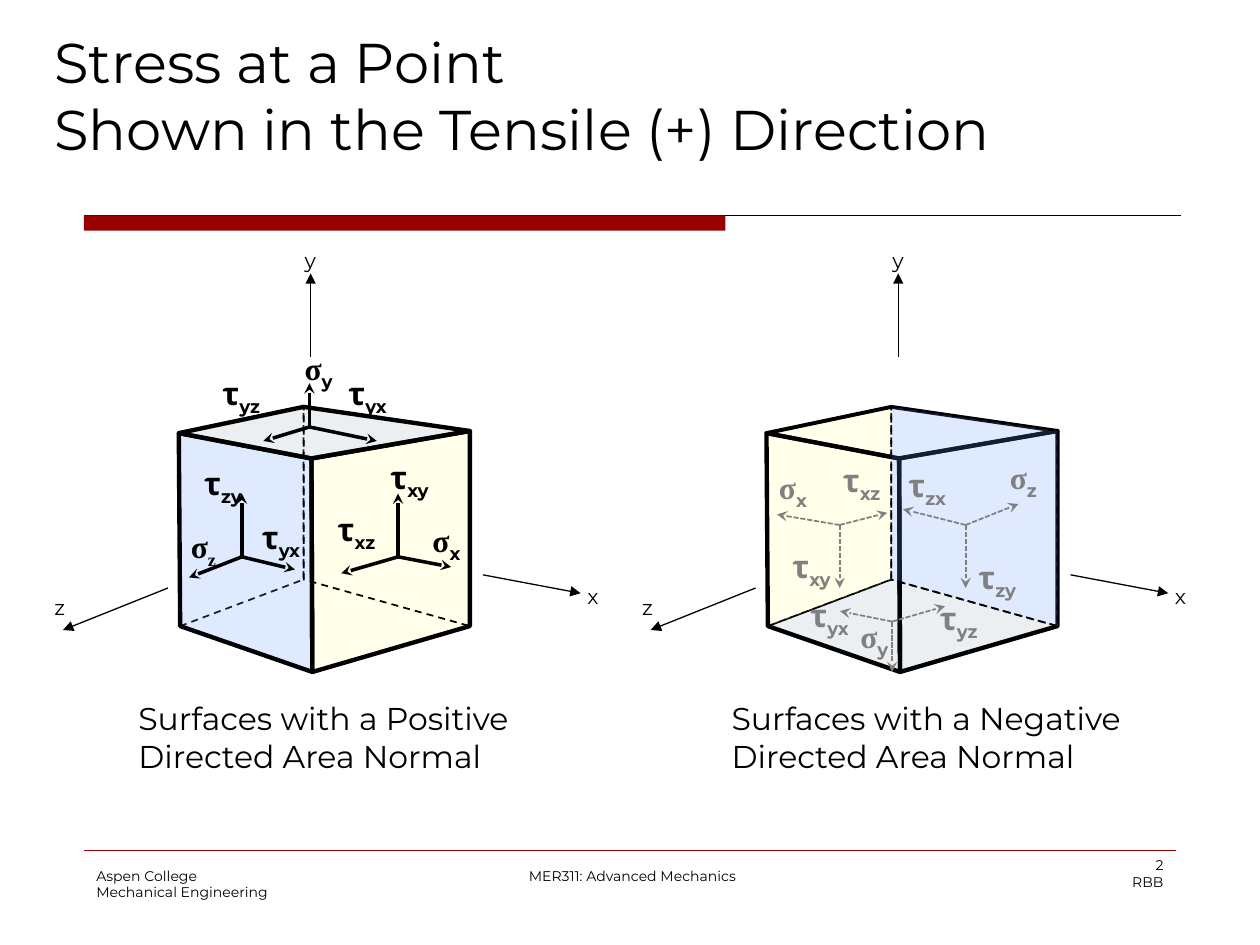
import pptx
import pptx.util
import pptx.dml.color
import pptx.enum.dml
import pptx.enum.shapes
import pptx.enum.text
import pptx.oxml
import pptx.oxml.ns
import lxml.etree

Pt = pptx.util.Pt
color = pptx.dml.color.RGBColor.from_string
qn = pptx.oxml.ns.qn
Dash = pptx.enum.dml.MSO_LINE
Align = pptx.enum.text.PP_ALIGN

theme = {
    "font": "Montserrat", "greek": "Times New Roman",
    "title": 32, "body": 18, "axis": 12, "footer": 8,
    "ink": "000000", "hidden": "808080", "accent": "990000",
    "x_face": "FFFF99", "y_face": "A3B2C1", "z_face": "6699FF",
}

presentation = pptx.Presentation()
presentation.slide_width = Pt(720)
presentation.slide_height = Pt(540)
slide = presentation.slides.add_slide(presentation.slide_layouts[6])


def add_text(text, left, top, width, height, size, align=Align.LEFT):
    box = slide.shapes.add_textbox(Pt(left), Pt(top), Pt(width), Pt(height))
    box.text_frame.word_wrap = True
    box.text_frame.text = text
    for paragraph in box.text_frame.paragraphs:
        paragraph.alignment = align
        for run in paragraph.runs:
            run.font.size = Pt(size)
            run.font.name = theme["font"]
            run.font.color.rgb = color(theme["ink"])
    return box.text_frame


def add_line(start, end, ink, weight, head=None, dash=None):
    line = slide.shapes.add_connector(
        pptx.enum.shapes.MSO_CONNECTOR.STRAIGHT, *(Pt(v) for v in (*start, *end)))
    line.line.color.rgb = color(ink)
    line.line.width = Pt(weight)
    if dash:
        line.line.dash_style = dash
    if head:
        lxml.etree.SubElement(line.line._get_or_add_ln(), qn("a:tailEnd"), type=head)
    lxml.etree.SubElement(line._element.spPr, qn("a:effectLst"))


add_line((48, 123.1), (674.6, 123.1), theme["ink"], 0.75)
bar = slide.shapes.add_shape(
    pptx.enum.shapes.MSO_SHAPE.RECTANGLE, Pt(48), Pt(123.1), Pt(366.5), Pt(8.7))
bar.shadow.inherit = False
bar.fill.solid()
bar.fill.fore_color.rgb = color(theme["accent"])
bar.line.fill.background()
add_line((48, 486), (672, 486), theme["accent"], 0.25)

add_text("Stress at a Point\vShown in the Tensile (+) Direction",
         24, 12, 678, 96, theme["title"])
for text, left, top, width, height, align in [
    ("Aspen College\nMechanical Engineering", 48, 492, 150, 36, Align.LEFT),
    ("MER311: Advanced Mechanics", 274.3, 492, 174.3, 17, Align.CENTER),
    ("2\nRBB", 522, 486, 150, 36, Align.RIGHT),
]:
    add_text(text, left, top, width, height, theme["footer"], align)

corners = {
    "left_top": (102.2, 247.5), "front_top": (178, 262),
    "right_top": (268.5, 246.3), "back_top": (173.5, 232.5),
    "left_bottom": (103, 357.8), "front_bottom": (178.5, 384),
    "right_bottom": (268.5, 357.8), "back_bottom": (173.5, 331.2),
}
faces = {
    "top": ("left_top", "front_top", "right_top", "back_top"),
    "floor": ("left_bottom", "front_bottom", "right_bottom", "back_bottom"),
    "front_left": ("left_top", "front_top", "front_bottom", "left_bottom"),
    "front_right": ("front_top", "right_top", "right_bottom", "front_bottom"),
    "back_left": ("left_top", "back_top", "back_bottom", "left_bottom"),
    "back_right": ("back_top", "right_top", "right_bottom", "back_bottom"),
}
axes = [
    ((177.5, 203.8), (177.5, 156.2), "y", (167, 138)),
    ((276, 328.5), (331.8, 339), "x", (328.5, 330)),
    ((96, 336), (36, 360), "z", (24, 336)),
]
cubes = [
    {
        "offset": 0, "ink": theme["ink"], "weight": 2, "dash": None,
        "caption": "Surfaces with a Positive\nDirected Area Normal",
        "caption_box": (72, 255),
        "faces": [("front_right", "x_face", 2.5), ("back_left", None, 1),
                  ("front_left", "z_face", 2.5), ("top", "y_face", 2.5),
                  ("back_right", None, 1)],
        "stresses": [
            ((176.8, 244), [(150.5, 252), (215.3, 252), (176.8, 219)]),
            ((138.2, 318.2), [(108, 330), (168.5, 325.5), (138.2, 282)]),
            ((227.5, 318.2), [(195, 327.6), (257.8, 324), (227.5, 282)]),
        ],
        "symbols": [("σ", "x", 240, 294), ("σ", "y", 167, 196), ("σ", "z", 102, 297.5),
                    ("τ", "xz", 185.8, 288), ("τ", "xy", 216, 258),
                    ("τ", "yz", 120, 210), ("τ", "yx", 142.5, 292.3),
                    ("τ", "zy", 109.5, 261.4), ("τ", "yx", 192, 210)],
    },
    {
        "offset": 335.8, "ink": theme["hidden"], "weight": 1, "dash": Dash.SQUARE_DOT,
        "caption": "Surfaces with a Negative\nDirected Area Normal",
        "caption_box": (411, 264),
        "faces": [("floor", "y_face", 1), ("back_left", "x_face", 1),
                  ("front_left", None, 2.5), ("front_right", None, 2.5),
                  ("top", None, 2.25), ("back_right", "z_face", 1)],
        "stresses": [
            ((509.8, 355.2), [(540, 346.4), (480, 349.2), (509.8, 384)]),
            ((551.8, 300), [(582, 288), (516, 291), (551.8, 336)]),
            ((479.8, 300), [(507, 293), (444, 294), (479.8, 336)]),
        ],
        "symbols": [("σ", "x", 438, 264), ("σ", "y", 484.5, 349.2), ("σ", "z", 570, 258),
                    ("τ", "yx", 456, 337), ("τ", "xz", 474.5, 260),
                    ("τ", "xy", 445.7, 309), ("τ", "yz", 530, 339),
                    ("τ", "zx", 512, 262.8), ("τ", "zy", 552, 315.4)],
    },
]

for cube in cubes:
    offset = cube["offset"]
    for face, fill, weight in cube["faces"]:
        points = [(Pt(corners[name][0] + offset), Pt(corners[name][1]))
                  for name in faces[face]]
        builder = slide.shapes.build_freeform(*points[0])
        builder.add_line_segments(points[1:], close=True)
        shape = builder.convert_to_shape()
        shape.shadow.inherit = False
        shape.line.color.rgb = color(theme["ink"])
        shape.line.width = Pt(weight)
        if weight == 1:
            shape.line.dash_style = Dash.DASH
        if fill:
            shape.fill.solid()
            shape.fill.fore_color.rgb = color(theme[fill])
            fill_color = shape._element.spPr.find(qn("a:solidFill")).find(qn("a:srgbClr"))
            lxml.etree.SubElement(fill_color, qn("a:alpha"), val="20000")
        else:
            shape.fill.background()

    for origin, ends in cube["stresses"]:
        for end in ends:
            add_line(origin, end, cube["ink"], cube["weight"], "stealth", cube["dash"])

    for start, end, label, (left, top) in axes:
        add_line((start[0] + offset, start[1]), (end[0] + offset, end[1]),
                 theme["ink"], 0.75, "triangle")
        add_text(label, left + offset, top, 24, 21.6, theme["axis"])

    for greek, subscript, left, top in cube["symbols"]:
        width, height = (32, 29) if greek == "σ" else (38, 51)
        frame = add_text(greek, left, top, width, height, theme["body"])
        frame.margin_right = 0
        paragraph = frame.paragraphs[0]
        paragraph.add_run().text = subscript
        for run in paragraph.runs:
            run.font.size = Pt(theme["body"])
            run.font.name = theme["font"]
            run.font.bold = True
            run.font.color.rgb = color(cube["ink"])
        if greek == "σ":
            paragraph.runs[0].font.name = theme["greek"]
            if subscript == "z" and not offset:
                paragraph.runs[1].font.name = theme["greek"]
        paragraph.runs[1]._r.get_or_add_rPr().set("baseline", "-25000")

    left, width = cube["caption_box"]
    add_text(cube["caption"], left, 396, width, 51, theme["body"])

presentation.save("out.pptx")
